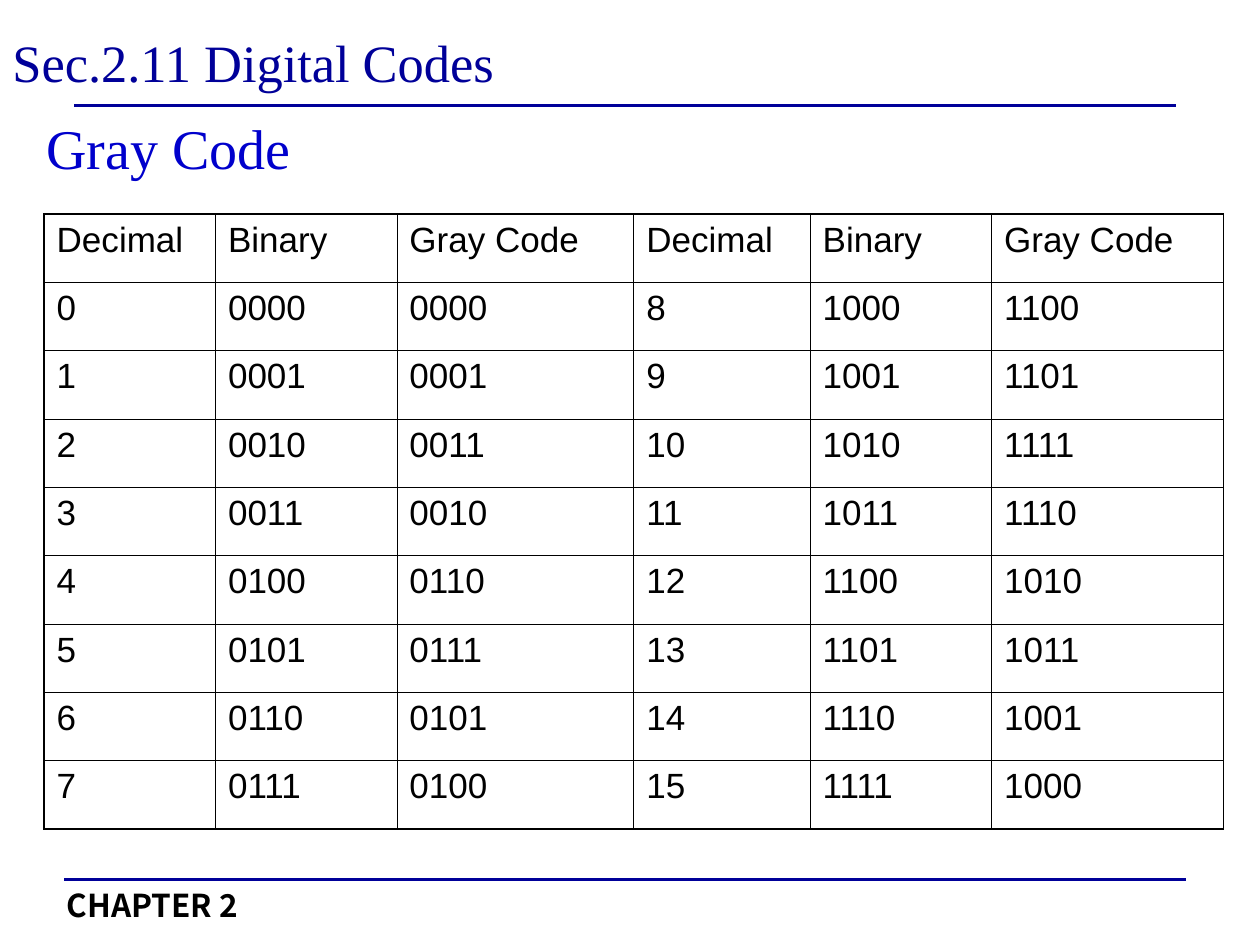
from pptx import Presentation
from pptx.dml.color import RGBColor
from pptx.enum.shapes import MSO_CONNECTOR
from pptx.enum.text import MSO_ANCHOR
from pptx.oxml.ns import qn
from pptx.util import Inches, Pt
from lxml import etree

STRAIGHT = MSO_CONNECTOR.STRAIGHT
TOP, MIDDLE = MSO_ANCHOR.TOP, MSO_ANCHOR.MIDDLE
NAVY, BLUE, BLACK = "000099", "0000CC", "000000"
SERIF = "Times New Roman"

# Content: text, box (left, top, width, height), anchor, line spacing, format
TEXTS = [
    ("Sec.2.11 Digital Codes", (0, 0.21, 9.57, 0.55), MIDDLE, 1.0,
     {"name": SERIF, "size": Pt(30), "color": NAVY}),
    ("CHAPTER 2", (0.43, 6.98, 2.6, 0.4), TOP, 1.0,
     {"name": "Noto Sans CJK SC", "size": Pt(18), "color": BLACK, "bold": True}),
    ("Gray Code", (0.27, 0.91, 3.7, 0.47), TOP, 0.9,
     {"name": SERIF, "size": Pt(32), "color": BLUE}),
]
RULES = [(0.51, 9.41, 6.98), (0.59, 9.33, 0.84)]  # from x, to x, y
CODE_ROWS = [
    ("Decimal", "Binary", "Gray Code", "Decimal", "Binary", "Gray Code"),
    ("0", "0000", "0000", "8", "1000", "1100"),
    ("1", "0001", "0001", "9", "1001", "1101"),
    ("2", "0010", "0011", "10", "1010", "1111"),
    ("3", "0011", "0010", "11", "1011", "1110"),
    ("4", "0100", "0110", "12", "1100", "1010"),
    ("5", "0101", "0111", "13", "1101", "1011"),
    ("6", "0110", "0101", "14", "1110", "1001"),
    ("7", "0111", "0100", "15", "1111", "1000"),
]
COLUMN_WIDTHS = [1.36, 1.44, 1.88, 1.4, 1.44, 1.84]
TABLE_LEFT, TABLE_TOP, TABLE_HEIGHT = 0.35, 1.7, 4.88
CELL_FORMAT = {"name": "Arial", "size": Pt(20), "color": BLACK}
OUTER_WIDTH, INNER_WIDTH = Pt(1.08), Pt(0.45)


def rgb(value):
    return RGBColor.from_string(value)


def write(frame, text, style):
    para = frame.paragraphs[0]
    span = para.add_run()
    span.text = text
    for key, value in style.items():
        if key == "color":
            span.font.color.rgb = rgb(value)
        else:
            setattr(span.font, key, value)
    return para


def add_border(cell, side, width):
    line = etree.Element(qn(f"a:{side}"), w=str(int(width)))
    fill = etree.SubElement(line, qn("a:solidFill"))
    etree.SubElement(fill, qn("a:srgbClr"), val=BLACK)
    return line


def set_borders(cell, row, column):
    on_edge = {
        "lnL": column == 0,
        "lnR": column == len(COLUMN_WIDTHS) - 1,
        "lnT": row == 0,
        "lnB": row == len(CODE_ROWS) - 1,
    }
    properties = cell._tc.get_or_add_tcPr()
    for index, (side, outer) in enumerate(on_edge.items()):
        width = OUTER_WIDTH if outer else INNER_WIDTH
        properties.insert(index, add_border(cell, side, width))


deck = Presentation()
deck.slide_width, deck.slide_height = Inches(10), Inches(7.5)
page = deck.slides.add_slide(deck.slide_layouts[6])

# Horizontal rules
for start, end, y in RULES:
    rule = page.shapes.add_connector(
        STRAIGHT, Inches(start), Inches(y), Inches(end), Inches(y))
    rule.line.color.rgb = rgb(NAVY)
    rule.line.width = Pt(1.5)
    etree.SubElement(rule._element.spPr, qn("a:effectLst"))

# Headings and footer
for text, place, anchor, spacing, style in TEXTS:
    box = page.shapes.add_textbox(*map(Inches, place))
    box.text_frame.word_wrap = True
    box.text_frame.vertical_anchor = anchor
    para = write(box.text_frame, text, style)
    para.line_spacing = spacing

# Code table
table = page.shapes.add_table(
    len(CODE_ROWS), len(COLUMN_WIDTHS), Inches(TABLE_LEFT), Inches(TABLE_TOP),
    Inches(sum(COLUMN_WIDTHS)), Inches(TABLE_HEIGHT)).table
table.first_row = table.horz_banding = False
for column, width in zip(table.columns, COLUMN_WIDTHS):
    column.width = Inches(width)
for row, values in enumerate(CODE_ROWS):
    for column, value in enumerate(values):
        cell = table.cell(row, column)
        cell.fill.background()
        write(cell.text_frame, value, CELL_FORMAT)
        set_borders(cell, row, column)

deck.save("out.pptx")
